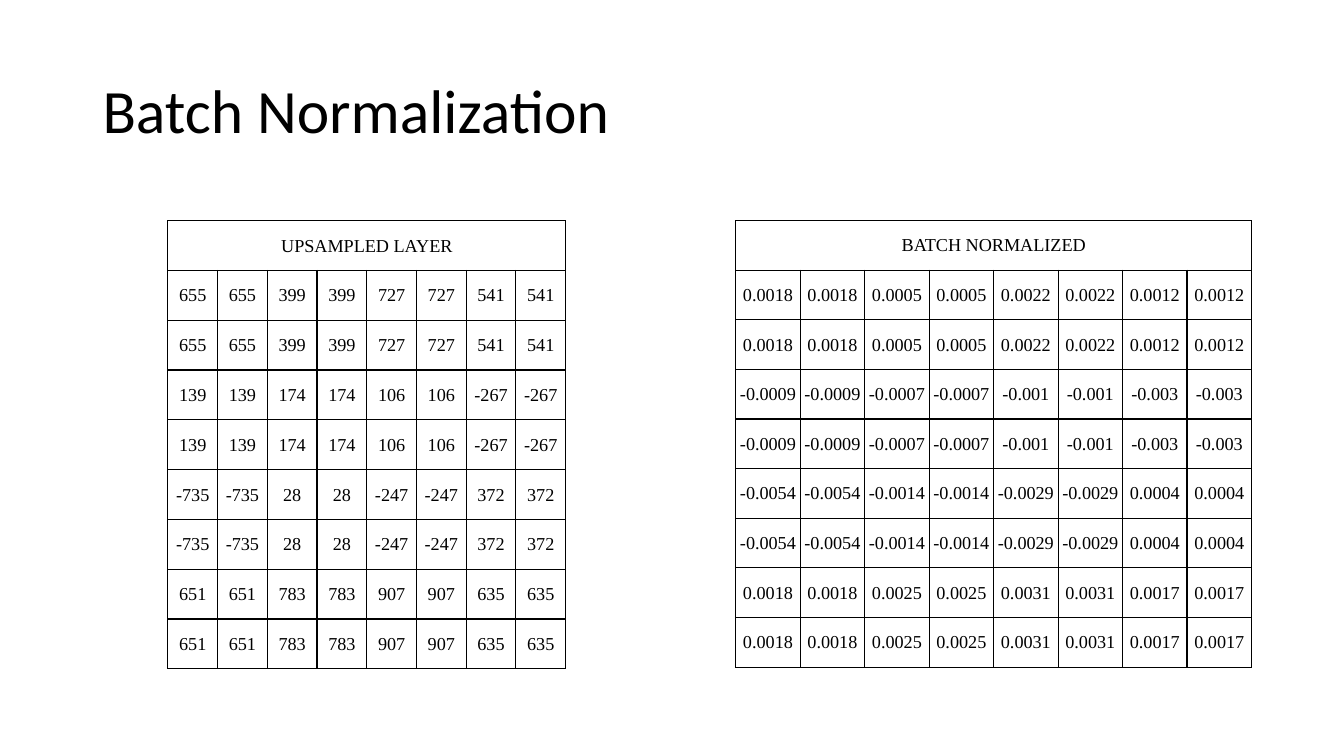
import dataclasses

import lxml.etree
import pptx
import pptx.dml.color
import pptx.enum.text
import pptx.oxml.ns
import pptx.util


@dataclasses.dataclass(frozen=True)
class Theme:
    ink: str = "000000"
    title_font: str = "Calibri"
    table_font: str = "Times New Roman"
    title_size: int = 44
    table_size: int = 13
    border_width: int = 1


def assign(target, values):
    for name, value in values.items():
        setattr(target, name, value)


class SlideBuilder:
    def __init__(self, presentation, theme):
        self.theme = theme
        self.slide = presentation.slides.add_slide(presentation.slide_layouts[5])

    def add_text(self, text_frame, text, font_name, size, paragraph_format):
        paragraph = text_frame.paragraphs[0]
        assign(paragraph, paragraph_format)
        run = paragraph.add_run()
        run.text = text
        assign(run.font, {"name": font_name, "size": pptx.util.Pt(size)})
        run.font.color.rgb = pptx.dml.color.RGBColor.from_string(self.theme.ink)

    def title(self, text, left, top, width, height):
        shape = self.slide.shapes.title
        box = {"left": left, "top": top, "width": width, "height": height}
        assign(shape, {name: pptx.util.Cm(value) for name, value in box.items()})
        assign(shape.text_frame, {
            "word_wrap": True,
            "auto_size": pptx.enum.text.MSO_AUTO_SIZE.NONE,
            "vertical_anchor": pptx.enum.text.MSO_ANCHOR.MIDDLE,
        })
        self.add_text(shape.text_frame, text, self.theme.title_font, self.theme.title_size,
                      {"alignment": pptx.enum.text.PP_ALIGN.LEFT, "line_spacing": 0.9})

    def borders(self, cell):
        qualified = pptx.oxml.ns.qn
        properties = cell._tc.get_or_add_tcPr()
        for side in ("lnL", "lnR", "lnT", "lnB"):
            line = lxml.etree.SubElement(properties, qualified(f"a:{side}"))
            line.set("w", str(pptx.util.Pt(self.theme.border_width)))
            fill = lxml.etree.SubElement(line, qualified("a:solidFill"))
            lxml.etree.SubElement(fill, qualified("a:srgbClr")).set("val", self.theme.ink)

    def matrix(self, heading, values, left, top, width, height):
        row_count, column_count = len(values) + 1, len(values[0])
        frame = self.slide.shapes.add_table(
            row_count, column_count, *map(pptx.util.Cm, (left, top, width, height)))
        table = frame.table
        assign(table, {"first_row": False, "horz_banding": False})
        for column in table.columns:
            column.width = pptx.util.Cm(width / column_count)
        for row in table.rows:
            row.height = pptx.util.Cm(height / row_count)
        for cell in table.iter_cells():
            assign(cell, {
                "margin_left": pptx.util.Cm(0.02),
                "margin_right": pptx.util.Cm(0.02),
                "margin_top": pptx.util.Cm(0.02),
                "margin_bottom": 0,
                "vertical_anchor": pptx.enum.text.MSO_ANCHOR.MIDDLE,
            })
            self.borders(cell)
            cell.fill.background()
        table.cell(0, 0).merge(table.cell(0, column_count - 1))
        for row_index, row_values in enumerate([[heading], *values]):
            for column_index, value in enumerate(row_values):
                self.add_text(table.cell(row_index, column_index).text_frame, value,
                              self.theme.table_font, self.theme.table_size,
                              {"alignment": pptx.enum.text.PP_ALIGN.CENTER})


def upsample(rows):
    return [[value for value in row.split() for _ in range(2)]
            for row in rows for _ in range(2)]


LAYER = ["655 399 727 541", "139 174 106 -267", "-735 28 -247 372", "651 783 907 635"]
NORMALIZED = [
    "0.0018 0.0005 0.0022 0.0012",
    "-0.0009 -0.0007 -0.001 -0.003",
    "-0.0054 -0.0014 -0.0029 0.0004",
    "0.0018 0.0025 0.0031 0.0017",
]


def main():
    presentation = pptx.Presentation()
    assign(presentation, {"slide_width": pptx.util.Cm(33.87),
                          "slide_height": pptx.util.Cm(19.05)})
    builder = SlideBuilder(presentation, Theme())
    builder.title("Batch Normalization", 2.33, 1.01, 29.21, 3.68)
    builder.matrix("BATCH NORMALIZED", upsample(NORMALIZED), 18.54, 5.56, 13, 11.25)
    builder.matrix("UPSAMPLED LAYER", upsample(LAYER), 4.23, 5.56, 10.03, 11.3)
    presentation.save("out.pptx")


if __name__ == "__main__":
    main()
